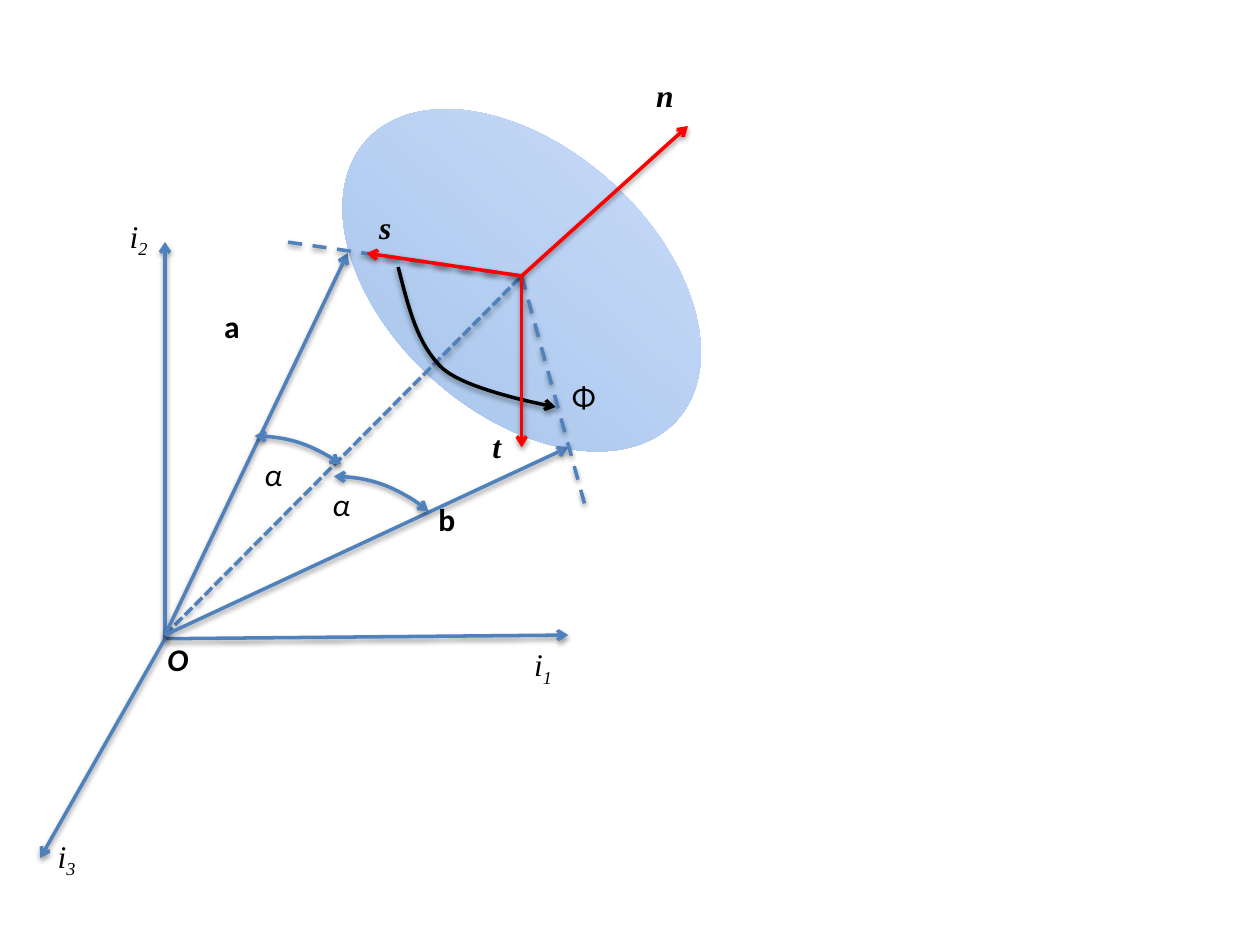
from dataclasses import dataclass
from lxml.etree import SubElement
from pptx import Presentation
from pptx.dml.color import RGBColor
from pptx.enum.dml import MSO_LINE
from pptx.enum.shapes import MSO_CONNECTOR, MSO_SHAPE
from pptx.enum.text import MSO_AUTO_SIZE
from pptx.oxml.ns import qn
from pptx.util import Pt


@dataclass(frozen=True)
class Theme:
    """Colours, fonts and sizes of the diagram."""
    blue: RGBColor = RGBColor(0x4F, 0x81, 0xBD)
    red: RGBColor = RGBColor(0xFF, 0, 0)
    black: RGBColor = RGBColor(0, 0, 0)
    disc: tuple = (RGBColor(0x3F, 0x80, 0xCE), RGBColor(0xA4, 0xC4, 0xFF))
    disc_alpha: str = "49000"
    serif: str = "Times New Roman"
    sans: str = "Calibri"
    size: float = 18
    line: float = 2


def add_text(p, text, font, size, color, bold=False, italic=False, baseline=None):
    """Add one formatted run to a paragraph."""
    r = p.add_run()
    r.text = text
    f = r.font
    f.name, f.size, f.bold, f.italic = font, Pt(size), bold, italic
    f.color.rgb = color
    if baseline:
        f._element.set("baseline", str(baseline))


def bezier(p0, p1, p2, p3, steps=16):
    """Return points along a cubic curve, without its start."""
    ts = [i / steps for i in range(1, steps + 1)]
    return [tuple((1 - t) ** 3 * a + 3 * (1 - t) ** 2 * t * b + 3 * (1 - t) * t * t * c + t ** 3 * d
                  for a, b, c, d in zip(p0, p1, p2, p3)) for t in ts]


class Diagram:
    """Draws vectors, arcs and labels in one group on a slide."""

    def __init__(self, s, theme):
        """Start a group on the slide."""
        self.theme = theme
        self.shapes = s.shapes.add_group_shape().shapes

    def stroke(self, sp, color, dash=None, head=False, tail=False):
        """Give a shape its line, arrowheads and soft shadow."""
        sp.line.color.rgb = color
        sp.line.width = Pt(self.theme.line)
        if dash:
            sp.line.dash_style = dash
        spPr = sp._element.spPr
        for tag, wanted in (("a:headEnd", head), ("a:tailEnd", tail)):
            if wanted:
                SubElement(spPr.find(qn("a:ln")), qn(tag), type="arrow")
        shadow = SubElement(SubElement(spPr, qn("a:effectLst")), qn("a:outerShdw"),
                            blurRad=str(Pt(3.1)), dist=str(Pt(1.6)), dir="5400000", rotWithShape="0")
        SubElement(SubElement(shadow, qn("a:srgbClr"), val=str(self.theme.black)), qn("a:alpha"), val="38000")

    def vector(self, start, end, color=None, dash=None):
        """Draw an arrow, or a dashed line without a head."""
        sp = self.shapes.add_connector(MSO_CONNECTOR.STRAIGHT, *map(Pt, start + end))
        self.stroke(sp, color or self.theme.blue, dash, tail=not dash)

    def disc(self, box, rotation):
        """Draw the translucent inclined plane."""
        sp = self.shapes.add_shape(MSO_SHAPE.OVAL, *map(Pt, box))
        sp.rotation = rotation
        sp.shadow.inherit = False
        sp.line.fill.background()
        sp.fill.gradient()
        sp.fill.gradient_angle = 90
        for stop, color in zip(sp.fill.gradient_stops, self.theme.disc):
            stop.color.rgb = color
        for clr in sp._element.spPr.iter(qn("a:srgbClr")):
            SubElement(clr, qn("a:alpha"), val=self.theme.disc_alpha)

    def arc(self, x, y, end):
        """Draw a double-headed angle mark."""
        sp = self.shapes.add_shape(MSO_SHAPE.ARC, Pt(x), Pt(y), Pt(164.2), Pt(162))
        sp.adjustments[0], sp.adjustments[1] = 162, end
        sp.fill.background()
        self.stroke(sp, self.theme.blue, head=True, tail=True)

    def curve(self, start, *segments):
        """Draw a curved arrow through cubic segments."""
        pts = [start]
        for seg in segments:
            pts += bezier(pts[-1], *seg)
        pts = [(Pt(x), Pt(y)) for x, y in pts]
        fb = self.shapes.build_freeform(*pts[0])
        fb.add_line_segments(pts[1:], close=False)
        sp = fb.convert_to_shape()
        sp.fill.background()
        self.stroke(sp, self.theme.black, tail=True)

    def label(self, box, text, font, sub=None, **style):
        """Place a label with an optional subscript."""
        tf = self.shapes.add_textbox(*map(Pt, box)).text_frame
        tf.word_wrap = True
        tf.auto_size = MSO_AUTO_SIZE.SHAPE_TO_FIT_TEXT
        style.update(font=font, size=self.theme.size, color=self.theme.black)
        add_text(tf.paragraphs[0], text, **style)
        if sub:
            add_text(tf.paragraphs[0], sub, baseline=-25000, **style)


def main():
    """Build the slide and save it."""
    prs = Presentation()
    prs.slide_width, prs.slide_height = Pt(720), Pt(540)
    s = prs.slides.add_slide(prs.slide_layouts[6])
    theme = Theme()
    d = Diagram(s, theme)
    axes_origin, origin, center = (94.3, 365), (94.3, 362.9), (298.1, 157.7)

    for end in ((324.7, 362.9), (94.3, 138.2), (23, 490.3)):
        d.vector(axes_origin, end)
    for sub, box in (("1", (298.1, 365, 82.8, 65.5)), ("2", (67, 120.2, 96.5, 65.5)),
                     ("3", (25.9, 474.5, 82.8, 65.5))):
        d.label(box, "i", theme.serif, sub=sub, italic=True)

    d.disc((178.6, 84.2, 239, 151.9), 41.9)
    d.vector(origin, center, dash=MSO_LINE.SQUARE_DOT)
    for end in ((198.7, 144.7), (324.7, 255.6)):
        d.vector(origin, end)
    for text, box in (("n", (367.9, 39.6, 82.8, 65.5)), ("s", (209.5, 115.2, 37.4, 28.8)),
                      ("t", (274.3, 240.5, 23.8, 28.8))):
        d.label(box, text, theme.serif, bold=True, italic=True)

    d.arc(63.4, 249.1, 184.36)
    d.arc(108.7, 272.2, 186.89)
    d.curve((227.5, 152.6), ((233.3, 175), (238.3, 197.3), (253.4, 211)),
            ((268.6, 223.9), (317.5, 232.6), (317.5, 232.6)))
    for text, box, bold, italic in (
            ("α", (144, 256.3, 25.9, 28.8), False, True),
            ("a", (121, 172.1, 72.7, 65.5), True, False),
            ("b", (243.4, 282.2, 72.7, 65.5), True, False),
            ("Φ", (319.7, 211.7, 38.2, 28.8), False, False),
            ("O", (88.6, 362.2, 40.3, 28.8), True, True),
            ("α", (182.9, 273.6, 25.9, 28.8), False, True)):
        d.label(box, text, theme.sans, bold=bold, italic=italic)

    for end in ((334.1, 288), (163.4, 138.2)):
        d.vector(center, end, dash=MSO_LINE.DASH)
    for end in ((393.1, 72), (209.5, 144.7), (298.1, 255.6)):
        d.vector(center, end, theme.red)
    prs.save("out.pptx")


if __name__ == "__main__":
    main()
